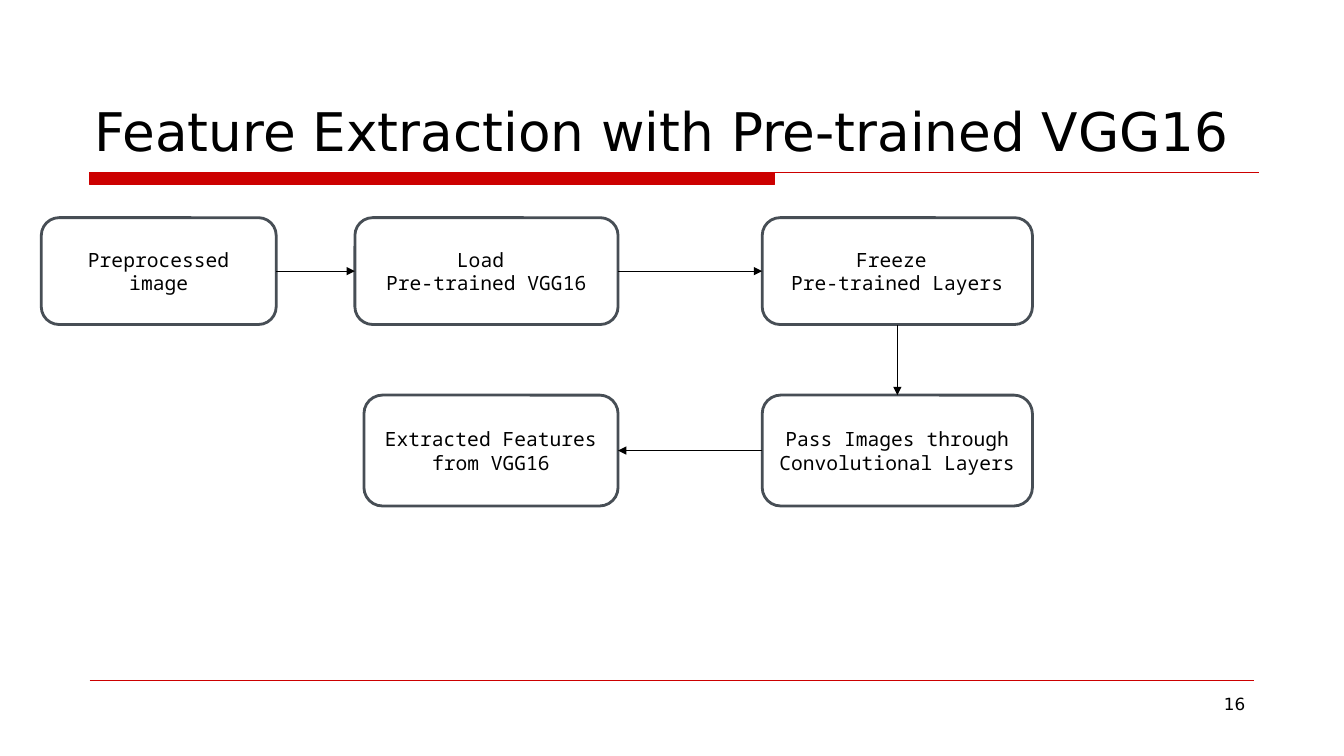
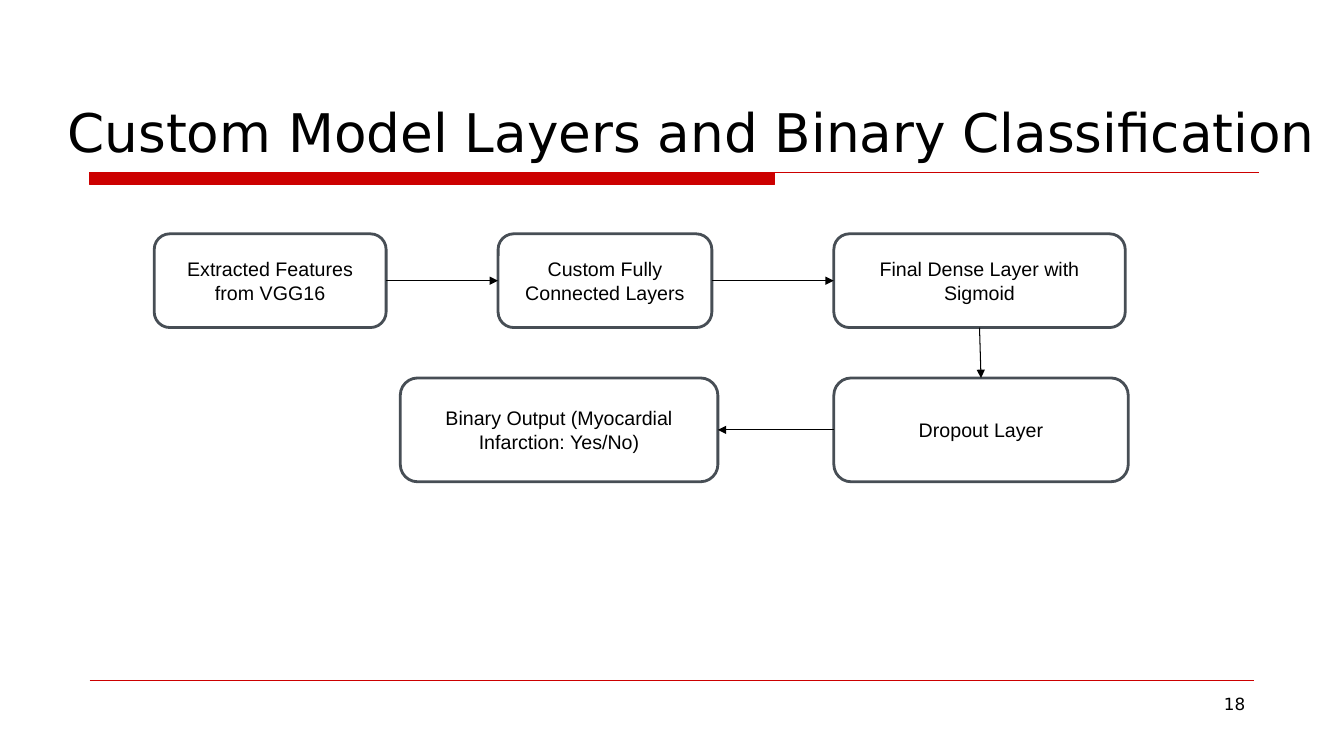
from dataclasses import dataclass
from itertools import pairwise
from typing import Any, NamedTuple

from lxml.etree import SubElement
from pptx import Presentation
from pptx.dml.color import RGBColor
from pptx.enum.shapes import MSO_CONNECTOR, MSO_SHAPE
from pptx.enum.text import MSO_ANCHOR, MSO_AUTO_SIZE, PP_ALIGN
from pptx.oxml.ns import qn
from pptx.util import Inches, Pt


@dataclass(frozen=True)
class Theme:
    red: RGBColor = RGBColor(0xCC, 0x00, 0x00)
    gray: RGBColor = RGBColor(0x47, 0x4E, 0x55)
    black: RGBColor = RGBColor(0x00, 0x00, 0x00)
    white: RGBColor = RGBColor(0xFF, 0xFF, 0xFF)
    head: Any = Pt(38)
    label: Any = Pt(14)
    small: Any = Pt(12)
    thin: Any = Pt(0.75)
    thick: Any = Pt(2)
    font: str = "DejaVu Sans"


class Area(NamedTuple):
    left: float
    top: float
    width: float
    height: float


class Row(NamedTuple):
    top: float
    height: float


class Step(NamedTuple):
    text: str
    left: float
    width: float
    row: int


@dataclass(frozen=True)
class Page:
    title: str
    number: str
    place: Area
    font: str
    rows: tuple[Row, Row]
    steps: tuple[Step, ...]


THEME = Theme()
TOP, LEFT, BOTTOM, RIGHT = range(4)
MARGIN = 0.89
RULE = 1.71

PAGES = (
    Page(
        "Feature Extraction with Pre-trained VGG16", "16",
        Area(0.84, 0.33, 11.67, 1.33), "Noto Sans Mono",
        (Row(2.16, 1.06), Row(3.92, 1.1)),
        (
            Step("Preprocessed image", 0.41, 2.33, 0),
            Step("Load \nPre-trained VGG16", 3.52, 2.61, 0),
            Step("Freeze \nPre-trained Layers", 7.56, 2.68, 0),
            Step("Pass Images through Convolutional Layers", 7.56, 2.68, 1),
            Step("Extracted Features from VGG16", 3.61, 2.52, 1),
        ),
    ),
    Page(
        "Custom Model Layers and Binary Classification", "18",
        Area(0.57, 0.34, 12.76, 1.33), "Arial",
        (Row(2.32, 0.93), Row(3.75, 1.03)),
        (
            Step("Extracted Features from VGG16", 1.53, 2.3, 0),
            Step("Custom Fully Connected Layers", 4.94, 2.12, 0),
            Step("Final Dense Layer with Sigmoid", 8.27, 2.89, 0),
            Step("Dropout Layer", 8.27, 2.92, 1),
            Step("Binary Output (Myocardial Infarction: Yes/No)", 3.97, 3.15, 1),
        ),
    ),
)


def apply(target: Any, values: dict[str, Any]) -> None:
    for name, value in values.items():
        setattr(target, name, value)


def write(shape: Any, text: str, font: str, size: Any, align: Any, anchor: Any) -> None:
    frame = shape.text_frame
    frame.text = text
    apply(frame, {
        "word_wrap": True,
        "auto_size": MSO_AUTO_SIZE.NONE,
        "vertical_anchor": anchor,
        "margin_left": Inches(0.1),
        "margin_right": Inches(0.1),
        "margin_top": Inches(0.05),
        "margin_bottom": Inches(0.05),
    })
    for para in frame.paragraphs:
        para.alignment = align
        apply(para.font, {"name": font, "size": size})
        for run in para.runs:
            apply(run.font, {"name": font, "size": size})
            run.font.color.rgb = THEME.black


def draw_shape(slide: Any, kind: Any, area: Area, fill: RGBColor,
               edge: RGBColor, width: Any) -> Any:
    shape = slide.shapes.add_shape(kind, *map(Inches, area))
    shape.shadow.inherit = False
    shape.fill.solid()
    shape.fill.fore_color.rgb = fill
    shape.line.color.rgb = edge
    shape.line.width = width
    return shape


def draw_line(slide: Any, start: tuple[float, float], end: tuple[float, float],
              color: RGBColor) -> Any:
    line = slide.shapes.add_connector(
        MSO_CONNECTOR.STRAIGHT, *map(Inches, (*start, *end)))
    line.line.color.rgb = color
    line.line.width = THEME.thin
    SubElement(line._element.spPr, qn("a:effectLst"))
    return line


def join(slide: Any, first: Any, second: Any, sides: tuple[int, int]) -> None:
    arrow = draw_line(slide, (0, 0), (1, 1), THEME.black)
    arrow.begin_connect(first, sides[0])
    arrow.end_connect(second, sides[1])
    SubElement(arrow.line._get_or_add_ln(), qn("a:tailEnd"), type="triangle")


def draw_frame(slide: Any, page: Page) -> None:
    draw_shape(slide, MSO_SHAPE.RECTANGLE, Area(MARGIN, RULE, 6.79, 0.12),
               THEME.red, THEME.red, THEME.thin)
    for level, end in ((RULE, 12.49), (6.75, 12.44)):
        draw_line(slide, (MARGIN, level), (end, level), THEME.red)
    title = slide.shapes.title
    apply(title, dict(zip(Area._fields, map(Inches, page.place))))
    write(title, page.title, THEME.font, THEME.head, PP_ALIGN.LEFT, MSO_ANCHOR.BOTTOM)
    number = slide.shapes.add_textbox(*map(Inches, Area(9.56, 6.83, 2.89, 0.52)))
    write(number, page.number, THEME.font, THEME.small, PP_ALIGN.RIGHT, MSO_ANCHOR.TOP)


def draw_flow(slide: Any, page: Page) -> None:
    boxes = []
    for step in page.steps:
        row = page.rows[step.row]
        area = Area(step.left, row.top, step.width, row.height)
        box = draw_shape(slide, MSO_SHAPE.ROUNDED_RECTANGLE, area,
                         THEME.white, THEME.gray, THEME.thick)
        write(box, step.text, page.font, THEME.label, PP_ALIGN.CENTER, MSO_ANCHOR.MIDDLE)
        boxes.append((step.row, box))
    sides = {(0, 0): (RIGHT, LEFT), (0, 1): (BOTTOM, TOP), (1, 1): (LEFT, RIGHT)}
    for (here, first), (there, second) in pairwise(boxes):
        join(slide, first, second, sides[here, there])


def main() -> None:
    deck = Presentation()
    apply(deck, {"slide_width": Inches(13.33), "slide_height": Inches(7.5)})
    for page in PAGES:
        slide = deck.slides.add_slide(deck.slide_layouts[5])
        draw_frame(slide, page)
        draw_flow(slide, page)
    deck.save("out.pptx")


if __name__ == "__main__":
    main()
